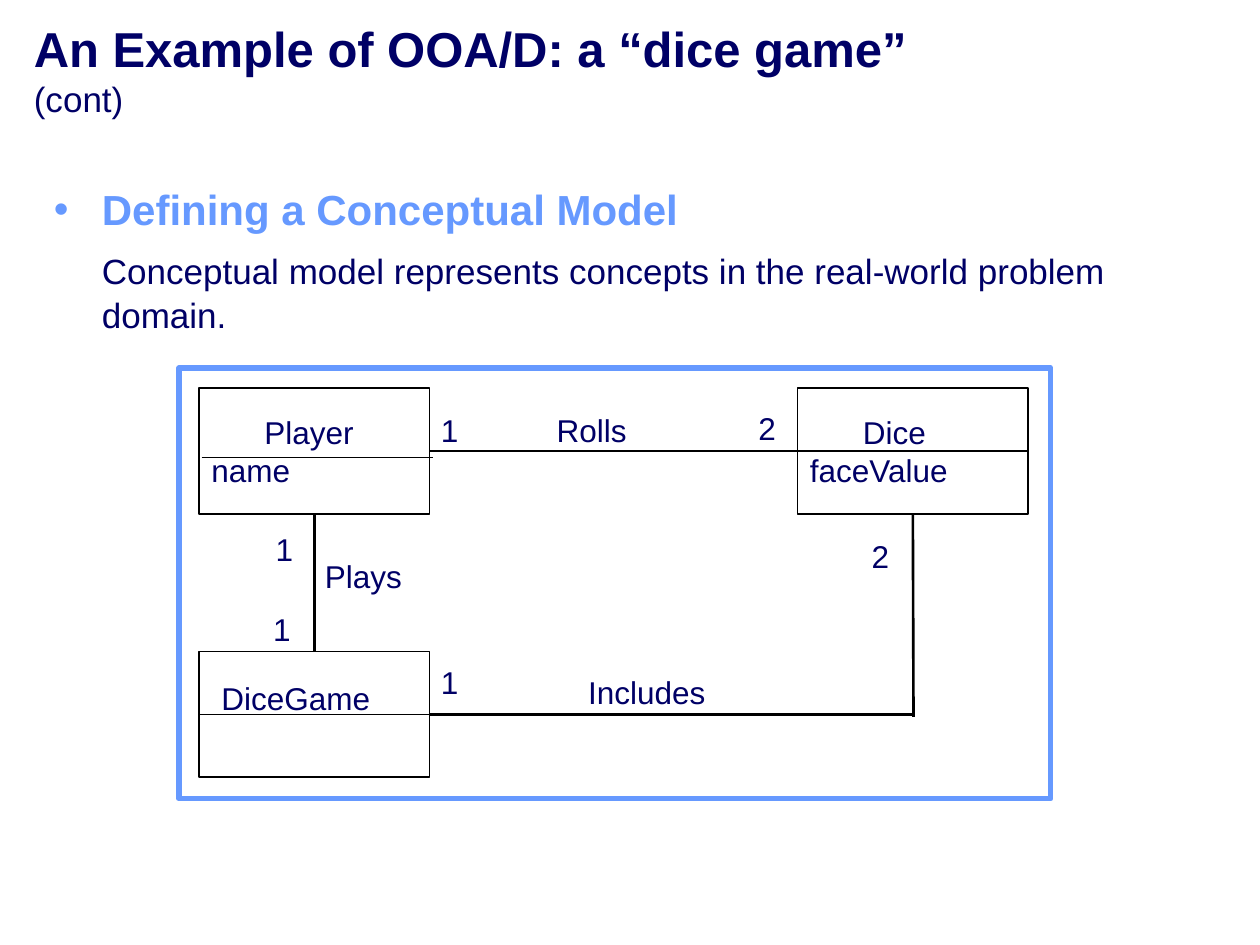
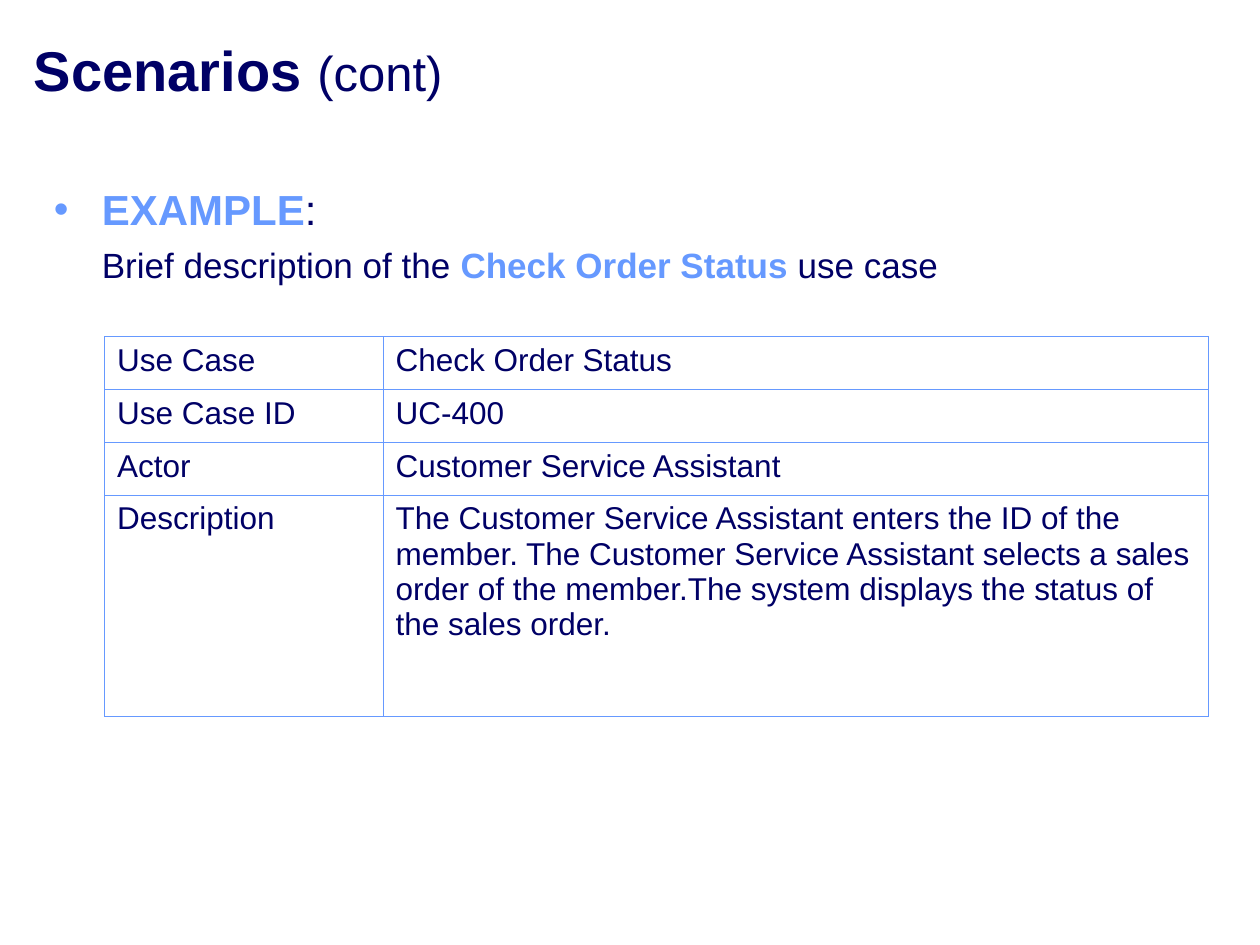
from lxml import etree
from pptx import Presentation
from pptx.dml.color import RGBColor
from pptx.enum import shapes, text
from pptx.oxml import ns
from pptx.util import Inches, Pt

NAVY, SKY, BLACK, WHITE = "000066", "6699FF", "000000", "FFFFFF"
TOP, LEFT_SIDE, BOTTOM_SIDE, RIGHT_SIDE = range(4)


def rgb(value):
    """Turn a hex string into a colour."""
    return RGBColor.from_string(value)


def sub(parent, tag, **attrs):
    """Append a DrawingML element to a parent."""
    return etree.SubElement(parent, ns.qn(tag), attrs)


def write(p, content, size=18, color=NAVY, bold=False, font="Arial"):
    """Add a formatted run to a paragraph."""
    r = p.add_run()
    r.text = content
    r.font.name, r.font.size, r.font.bold = font, Pt(size), bold
    r.font.color.rgb = rgb(color)


def indent(p, left, first=0):
    """Set the left margin and first-line indent of a paragraph."""
    pPr = p._p.get_or_add_pPr()
    pPr.set("marL", str(Inches(left)))
    pPr.set("indent", str(Inches(first)))
    return pPr


class Deck:
    """Hold the deck style and the current slide."""

    def __init__(self):
        """Start an empty 10 by 7.5 inch presentation."""
        self.prs = Presentation()
        self.prs.slide_width, self.prs.slide_height = Inches(10), Inches(7.5)

    def slide(self, title, size, cont_size):
        """Add a slide with its two-part title."""
        self.s = self.prs.slides.add_slide(self.prs.slide_layouts[6])
        tf = self.textbox(0.17, 0.17, 7.75, 0.75)
        tf.vertical_anchor = text.MSO_ANCHOR.MIDDLE
        write(tf.paragraphs[0], title + " ", size=size, bold=True)
        write(tf.paragraphs[0], "(cont)", size=cont_size)

    def textbox(self, x, y, w, h, wrap=True):
        """Add a text box and return its text frame."""
        sp = self.s.shapes.add_textbox(*map(Inches, (x, y, w, h)))
        sp.text_frame.word_wrap = wrap
        return sp.text_frame

    def body(self, heading, detail, space):
        """Add a bulleted heading and an indented paragraph from runs."""
        tf = self.textbox(0.33, 1.39, 9.42, 5.5)
        p = tf.paragraphs[0]
        pPr = indent(p, 0.38, -0.38)
        sub(sub(pPr, "a:buClr"), "a:srgbClr", val=SKY)
        sub(pPr, "a:buFont", typeface="Arial")
        sub(pPr, "a:buChar", char="•")
        p.line_spacing = 1.05
        for content, style in heading:
            write(p, content, size=24, **style)
        p = tf.add_paragraph()
        indent(p, 0.38)
        p.space_before, p.line_spacing = Pt(space), 1.05
        for content, style in detail:
            write(p, content, size=20, **style)

    def rect(self, x, y, w, h, line=BLACK, width=1, fill=None):
        """Add an outlined rectangle."""
        sp = self.s.shapes.add_shape(
            shapes.MSO_SHAPE.RECTANGLE, *map(Inches, (x, y, w, h)))
        sp.shadow.inherit = False
        if fill:
            sp.fill.solid()
            sp.fill.fore_color.rgb = rgb(fill)
        else:
            sp.fill.background()
        sp.line.color.rgb, sp.line.width = rgb(line), Pt(width)
        return sp

    def concept(self, x, y, name, name_indent, attribute=None):
        """Add a concept box with a name and an optional attribute."""
        sp = self.rect(x, y, 1.83, 1, fill=WHITE)
        tf = sp.text_frame
        tf.word_wrap = True
        if attribute:
            tf.vertical_anchor = text.MSO_ANCHOR.MIDDLE
        else:
            tf.vertical_anchor = text.MSO_ANCHOR.TOP
            tf.margin_top = Inches(0.22)
        p = tf.paragraphs[0]
        p.alignment = text.PP_ALIGN.LEFT
        indent(p, name_indent)
        write(p, name)
        if attribute:
            p = tf.add_paragraph()
            p.alignment = text.PP_ALIGN.LEFT
            write(p, attribute)
        return sp

    def line(self, x1, y1, x2, y2, width=1.5, begin=None, end=None):
        """Add a straight line, joined to (shape, side) pairs if given."""
        cx = self.s.shapes.add_connector(
            shapes.MSO_CONNECTOR.STRAIGHT, *map(Inches, (x1, y1, x2, y2)))
        cx.line.color.rgb, cx.line.width = rgb(BLACK), Pt(width)
        sub(cx._element.spPr, "a:effectLst")
        if begin:
            cx.begin_connect(*begin)
        if end:
            cx.end_connect(*end)

    def label(self, content, x, y, w=0.34):
        """Add a short label that does not wrap."""
        tf = self.textbox(x, y, w, 0.4, wrap=False)
        write(tf.paragraphs[0], content)

    def table(self, x, y, cols, heights, rows):
        """Add a plain table with thin borders."""
        sp = self.s.shapes.add_table(
            len(rows), len(cols),
            *map(Inches, (x, y, sum(cols), sum(heights))))
        tbl = sp.table
        tbl.first_row = tbl.horz_banding = False
        for col, w in zip(tbl.columns, cols):
            col.width = Inches(w)
        for row, h, values in zip(tbl.rows, heights, rows):
            row.height = Inches(h)
            for cell, value in zip(row.cells, values):
                write(cell.text_frame.paragraphs[0], value)
                tcPr = cell._tc.get_or_add_tcPr()
                for side in ("a:lnL", "a:lnR", "a:lnT", "a:lnB"):
                    ln = sub(tcPr, side, w=str(Pt(0.45)))
                    sub(sub(ln, "a:solidFill"), "a:srgbClr", val=SKY)
                cell.fill.background()


def conceptual_model(deck):
    """Build the conceptual model slide."""
    deck.slide("An Example of OOA/D: a “dice game”", 28, 20)
    deck.body(
        [("Defining a Conceptual Model", dict(color=SKY, bold=True))],
        [("Conceptual model represents concepts in the real-world problem "
          "domain.", {})], space=7.5)
    left, right, upper, lower = 1.58, 6.33, 3.08, 5.17
    player = deck.concept(left, upper, "Player", 0.42, "name")
    dice = deck.concept(right, upper, "Dice", 0.42, "faceValue")
    game = deck.concept(left, lower, "DiceGame", 0.08)
    deck.line(3.41, 3.58, 6.33, 3.58,
              begin=(player, RIGHT_SIDE), end=(dice, LEFT_SIDE))
    deck.line(2.5, 4.08, 2.5, 5.17,
              begin=(player, BOTTOM_SIDE), end=(game, TOP))
    deck.line(3.41, 5.67, 7.25, 5.67, begin=(game, RIGHT_SIDE))
    deck.line(7.25, 4.08, 7.25, 5.69, begin=(dice, BOTTOM_SIDE))
    for x, y in ((1.6, 3.63), (left, 5.67), (right, 3.58)):
        deck.line(x, y, x + 1.84, y, width=1)
    deck.label("Rolls", 4.32, 3.21, 0.85)
    deck.label("Includes", 4.57, 5.29, 1.2)
    deck.label("Plays", 2.48, 4.37, 0.9)
    for count, x, y in (("1", 3.4, 3.21), ("2", 5.92, 3.2), ("2", 6.82, 4.21),
                        ("1", 3.4, 5.21), ("1", 2.07, 4.79),
                        ("1", 2.09, 4.16)):
        deck.label(count, x, y)
    deck.rect(1.42, 2.92, 6.92, 3.42, line=SKY, width=3)


def scenarios(deck):
    """Build the use case slide."""
    deck.slide("Scenarios", 32, 28)
    key = dict(color=SKY, bold=True)
    deck.body(
        [("EXAMPLE", key), (":", {})],
        [("Brief description of the ", {}), ("Check Order Status", key),
         (" use case", {})], space=4)
    deck.table(0.83, 2.67, (2.21, 6.55), (0.42, 0.42, 0.42, 1.76), (
        ("Use Case", "Check Order Status"),
        ("Use Case ID", "UC-400"),
        ("Actor", "Customer Service Assistant"),
        ("Description",
         "The Customer Service Assistant enters the ID of the member. "
         "The Customer Service Assistant selects a sales order of the "
         "member.The system displays the status of the sales order.")))


def main():
    """Build and save the deck."""
    deck = Deck()
    conceptual_model(deck)
    scenarios(deck)
    deck.prs.save("out.pptx")


if __name__ == "__main__":
    main()
